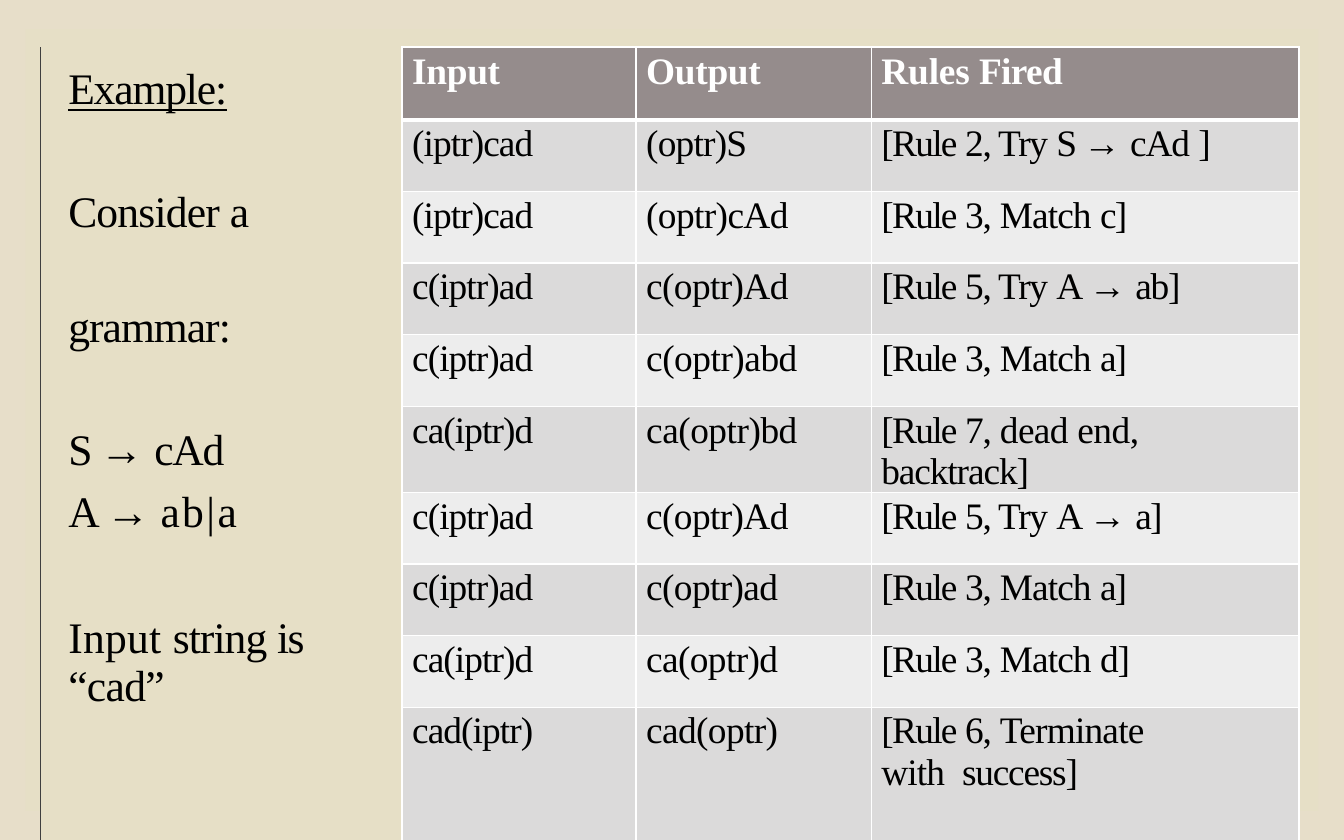
import pptx
import pptx.dml.color
import pptx.enum.shapes
import pptx.oxml.ns
import pptx.util
from lxml import etree

FONT = "Times New Roman"
COLORS = {
    "background": "E7DEC9", "panel": "E6DFC6", "header": "958C8C",
    "dark_row": "DBDADA", "light_row": "EDEDED", "white": "FFFFFF",
    "black": "000000", "rule": "3F3F3F",
}
SLIDE_WIDTH, SLIDE_HEIGHT = 12, 7.5
COLUMN_WIDTHS = [3.23, 2.09, 2.1, 3.82]
ROW_HEIGHTS = [0.65] + [0.64] * 8 + [0.91]
TEXT_INDENT, EXAMPLE_INDENT = 0.09, 0.25


def numbered(number, *runs):
    return [("[Rule ", -1.1), (f"{number}, ", -0.8), *runs]


def attempt(number, symbol, symbol_tracking, *result):
    return [("[Rule ", -1.1), (f"{number}, Try ", -0.8),
            (symbol + " ", symbol_tracking), ("→ ", 0), *result]


def match(letter, tracking):
    return numbered(3, ("Match ", -0.6), (letter + "]", tracking))


HEADERS = [[("Input", -0.2)], [("Output", -0.2)], [("Rules ", -0.1), ("Fired", -0.4)]]
STEPS = [
    ("(iptr)cad", "(optr)S", -0.5, attempt(2, "S", -1.9, ("cAd ", -0.7), ("]", -1.5)), 0),
    ("(iptr)cad", "(optr)cAd", -0.4, match("c", -1.1), 0),
    ("c(iptr)ad", "c(optr)Ad", -0.4, attempt(5, "A", -1.1, ("ab]", -0.8)), 0),
    ("c(iptr)ad", "c(optr)abd", -0.3, match("a", -1.2), 0),
    ("ca(iptr)d", "ca(optr)bd", -0.3,
     numbered(7, ("dead ", -0.4), ("end, ", -0.3), ("backtrack]", -0.7)), 0.5),
    ("c(iptr)ad", "c(optr)Ad", -0.4, attempt(5, "A", -1.1, ("a]", -1.2)), 0),
    ("c(iptr)ad", "c(optr)ad", -0.4, match("a", -1.2), 0),
    ("ca(iptr)d", "ca(optr)d", -0.4, match("d", -0.8), 0),
    ("cad(iptr)", "cad(optr)", -0.4,
     numbered(6, ("Terminate ", -0.5), ("with", -0.6), (" ", 5), ("success]", -0.8)), 1),
]
EXAMPLE = [
    ([("Example:", -0.7)], 12.1, None),
    ([("Consider ", -0.5), ("a ", -1.1), ("grammar:", -0.6)], 4.8, 2.39),
    ([("S ", -2.2), ("→ ", 0), ("cAd", -0.8)], 4.8, 2.39),
    ([("A ", -1.3), ("→ ", 0), ("ab|a", 1.6)], 9, None),
    ([("Input ", 0.2), ("string ", -0.6), ("is ", -1.1), ("“cad”", -0.4)], 50, None),
]


def color(name):
    return pptx.dml.color.RGBColor.from_string(COLORS[name])


def fill_solid(fill, name):
    fill.solid()
    fill.fore_color.rgb = color(name)


def set_borders(cell, **borders):
    properties = cell._tc.get_or_add_tcPr()
    for index, side in enumerate(("left", "right", "top", "bottom")):
        name, width = borders.get(side, ("white", 1))
        line = etree.Element(pptx.oxml.ns.qn("a:ln" + side[0].upper()),
                             w=str(pptx.util.Pt(width)))
        if name is None:
            etree.SubElement(line, pptx.oxml.ns.qn("a:noFill"))
        else:
            solid = etree.SubElement(line, pptx.oxml.ns.qn("a:solidFill"))
            etree.SubElement(solid, pptx.oxml.ns.qn("a:srgbClr"), val=COLORS[name])
        properties.insert(index, line)


def set_margins(cell, top):
    cell.margin_left = cell.margin_right = cell.margin_bottom = 0
    cell.margin_top = pptx.util.Inches(top)


def write_runs(paragraph, runs, size, color_name, before, indent, right=0):
    paragraph.font.name = FONT
    paragraph.font.size = pptx.util.Pt(size)
    paragraph.font.color.rgb = color(color_name)
    paragraph.space_before = pptx.util.Pt(before)
    properties = paragraph._p.get_or_add_pPr()
    properties.set("marL", str(pptx.util.Inches(indent)))
    properties.set("marR", str(pptx.util.Inches(right)))
    properties.set("indent", "0")
    for text, tracking in runs:
        run = paragraph.add_run()
        run.text = text
        run._r.get_or_add_rPr().set("spc", str(round(tracking * 100)))


def add_panel(slide, left, top, width, height):
    panel = slide.shapes.add_shape(
        pptx.enum.shapes.MSO_SHAPE.RECTANGLE,
        *(pptx.util.Inches(length) for length in (left, top, width, height)))
    panel.shadow.inherit = False
    fill_solid(panel.fill, "panel")
    panel.line.fill.background()


def write_example(table):
    example = table.cell(0, 0)
    last = len(ROW_HEIGHTS) - 1
    example.merge(table.cell(last, 0))
    for row in range(last + 1):
        cell = table.cell(row, 0)
        fill_solid(cell.fill, "panel")
        set_borders(cell, left=("rule", 0.75), top=(None, 0), bottom=(None, 0))
    set_margins(example, 0.17)
    frame = example.text_frame
    for index, (runs, before, spacing) in enumerate(EXAMPLE):
        paragraph = frame.add_paragraph() if index else frame.paragraphs[0]
        write_runs(paragraph, runs, 28, "black", before, EXAMPLE_INDENT, 0.25)
        if spacing:
            paragraph.line_spacing = spacing
    frame.paragraphs[0].font.underline = True


def write_header(table):
    for column, runs in enumerate(HEADERS, 1):
        cell = table.cell(0, column)
        fill_solid(cell.fill, "header")
        set_borders(cell, bottom=("white", 3))
        set_margins(cell, 0.04)
        paragraph = cell.text_frame.paragraphs[0]
        write_runs(paragraph, runs, 24, "white", 2.8, TEXT_INDENT)
        paragraph.font.bold = True


def write_steps(table):
    for row, (source, target, tracking, rule, right) in enumerate(STEPS, 1):
        contents = [([(source, -0.6)], 0), ([(target, tracking)], 0), (rule, right)]
        for column, (runs, right_indent) in enumerate(contents, 1):
            cell = table.cell(row, column)
            fill_solid(cell.fill, "dark_row" if row % 2 else "light_row")
            set_borders(cell, top=("white", 3 if row == 1 else 1))
            set_margins(cell, 0.03)
            write_runs(cell.text_frame.paragraphs[0], runs, 24, "black", 2,
                       TEXT_INDENT, right_indent)


def add_trace_table(slide, left, top):
    frame = slide.shapes.add_table(
        len(ROW_HEIGHTS), len(COLUMN_WIDTHS),
        pptx.util.Inches(left), pptx.util.Inches(top),
        pptx.util.Inches(sum(COLUMN_WIDTHS)), pptx.util.Inches(sum(ROW_HEIGHTS)))
    table = frame.table
    table.horz_banding = table.first_row = False
    for column, width in zip(table.columns, COLUMN_WIDTHS):
        column.width = pptx.util.Inches(width)
    for row, height in zip(table.rows, ROW_HEIGHTS):
        row.height = pptx.util.Inches(height)
    write_example(table)
    write_header(table)
    write_steps(table)


def main():
    presentation = pptx.Presentation()
    presentation.slide_width = pptx.util.Inches(SLIDE_WIDTH)
    presentation.slide_height = pptx.util.Inches(SLIDE_HEIGHT)
    slide = presentation.slides.add_slide(presentation.slide_layouts[6])
    fill_solid(slide.background.fill, "background")
    add_panel(slide, 0.23, 0.26, 11.54, 6.98)
    add_trace_table(slide, 0.36, 0.42)
    presentation.save("out.pptx")


if __name__ == "__main__":
    main()
